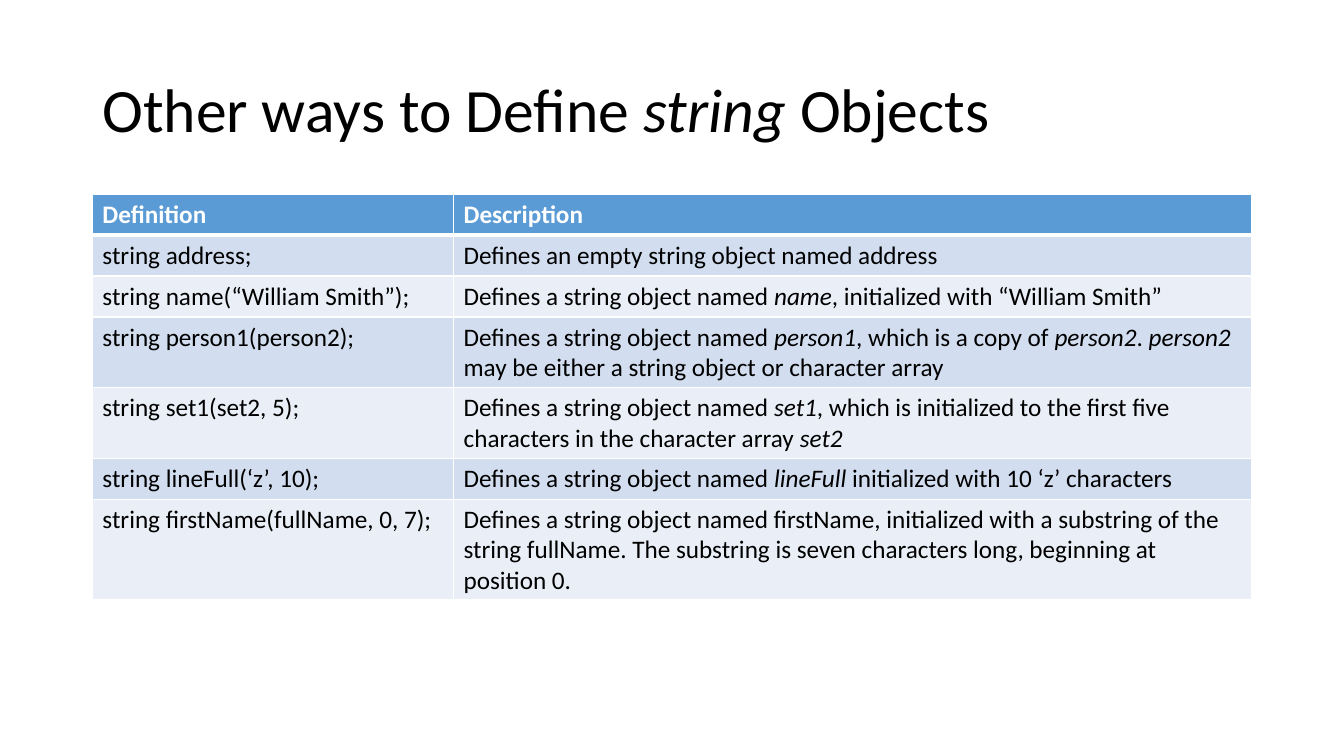
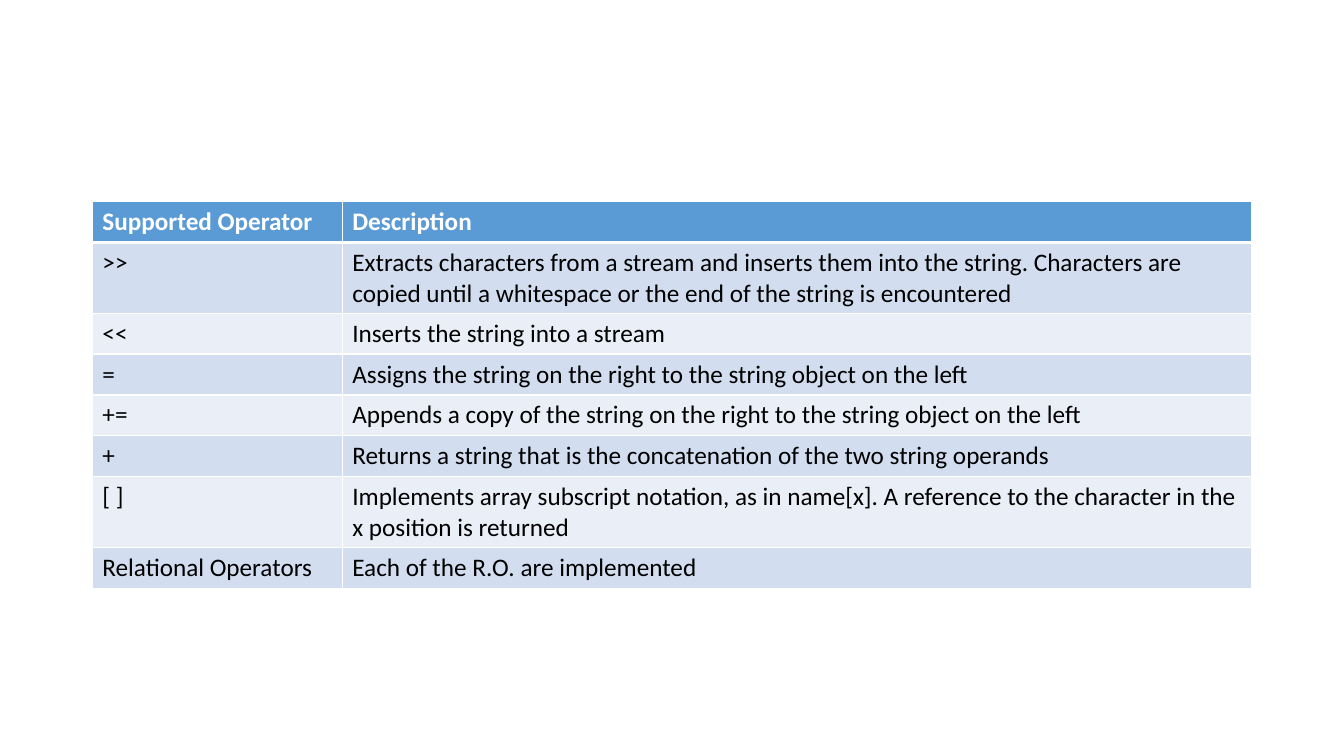
"""Two slides on defining string objects and the operators they support."""
from dataclasses import dataclass

from lxml.etree import SubElement
from pptx import Presentation
from pptx.dml.color import RGBColor as Rgb
from pptx.enum.text import MSO_ANCHOR as Anchor
from pptx.oxml.ns import qn
from pptx.util import Pt

EMU_PER_PX = 9525


def px(length):
    """Turn whole pixels into EMU."""
    return length * EMU_PER_PX


@dataclass(frozen=True)
class Theme:
    """Colours, type and line sizes shared by the slides."""
    font: str = "Calibri"
    title_size: int = 44
    body_size: int = 18
    ink: str = "000000"
    paper: str = "FFFFFF"
    header: str = "5B9BD5"
    bands: tuple = ("D2DEEF", "EAEFF7")
    rule: int = 1
    header_rule: int = 3


class Builder:
    """Holds the theme, the deck and the current page."""

    LEFT, WIDTH, ROW = 88, 1104, 39

    def __init__(self, theme):
        self.theme = theme
        self.deck = Presentation()
        self.deck.slide_width, self.deck.slide_height = px(1280), px(720)
        self.page = None

    def new_page(self):
        """Start a blank page."""
        self.page = self.deck.slides.add_slide(self.deck.slide_layouts[6])

    def add_spans(self, para, text, size, color, bold=False):
        """Add runs to a paragraph; parts between asterisks are italic."""
        for index, part in enumerate(text.split("*")):
            if part:
                span = para.add_run()
                span.text = part
                font = span.font
                font.name, font.size = self.theme.font, Pt(size)
                font.bold, font.italic = bold, index % 2 == 1
                font.color.rgb = Rgb.from_string(color)

    def title(self, text):
        """Add the page title."""
        box = self.page.shapes.add_textbox(px(self.LEFT), px(38), px(self.WIDTH), px(139))
        frame = box.text_frame
        frame.word_wrap = True
        frame.vertical_anchor = Anchor.MIDDLE
        para = frame.paragraphs[0]
        para.line_spacing = 0.9
        self.add_spans(para, text, self.theme.title_size, self.theme.ink)

    def border(self, cell, side, points):
        """Draw one side of a cell."""
        line = SubElement(cell._tc.get_or_add_tcPr(), qn(f"a:ln{side}"), w=str(Pt(points)))
        fill = SubElement(line, qn("a:solidFill"))
        SubElement(fill, qn("a:srgbClr"), val=self.theme.paper)

    def cell(self, cell, text, row):
        """Style and fill one cell according to its row."""
        theme = self.theme
        is_header = row == 0
        top = theme.header_rule if row == 1 else theme.rule
        bottom = theme.header_rule if is_header else theme.rule
        for side, points in zip("LRTB", (theme.rule, theme.rule, top, bottom)):
            self.border(cell, side, points)
        cell.fill.solid()
        color = theme.header if is_header else theme.bands[(row - 1) % 2]
        cell.fill.fore_color.rgb = Rgb.from_string(color)
        ink = theme.paper if is_header else theme.ink
        self.add_spans(cell.text_frame.paragraphs[0], text, theme.body_size, ink, is_header)

    def table(self, top, first_width, rows):
        """Add a two-column banded table."""
        table = self.page.shapes.add_table(
            len(rows), 2, px(self.LEFT), px(top), px(self.WIDTH), px(self.ROW * len(rows))
        ).table
        for column, width in zip(table.columns, (first_width, self.WIDTH - first_width)):
            column.width = px(width)
        for row, texts in enumerate(rows):
            for column, text in enumerate(texts):
                self.cell(table.cell(row, column), text, row)


DEFINITIONS = [
    ("Definition", "Description"),
    ("string address;", "Defines an empty string object named address"),
    ("string name(“William Smith”);",
     "Defines a string object named *name*, initialized with “William Smith”"),
    ("string person1(person2);",
     "Defines a string object named *person1*, which is a copy of *person2*. *person2* "
     "may be either a string object or character array"),
    ("string set1(set2, 5);",
     "Defines a string object named *set1*, which is initialized to the first five "
     "characters in the character array *set2*"),
    ("string lineFull(‘z’, 10);",
     "Defines a string object named *lineFull* initialized with 10 ‘z’ characters"),
    ("string firstName(fullName, 0, 7);",
     "Defines a string object named firstName, initialized with a substring of the "
     "string fullName. The substring is seven characters long, beginning at position 0."),
]

OPERATORS = [
    ("Supported Operator", "Description"),
    (">>", "Extracts characters from a stream and inserts them into the string. "
     "Characters are copied until a whitespace or the end of the string is encountered"),
    ("<<", "Inserts the string into a stream"),
    ("=", "Assigns the string on the right to the string object on the left"),
    ("+=", "Appends a copy of the string on the right to the string object on the left"),
    ("+", "Returns a string that is the concatenation of the two string operands"),
    ("[ ]", "Implements array subscript notation, as in name[x]. A reference to the "
     "character in the x position is returned"),
    ("Relational Operators", "Each of the R.O. are implemented"),
]


def main():
    """Build and save the deck."""
    builder = Builder(Theme())
    builder.new_page()
    builder.title("Other ways to Define *string* Objects")
    builder.table(185, 344, DEFINITIONS)
    builder.new_page()
    builder.table(192, 238, OPERATORS)
    builder.deck.save("out.pptx")


if __name__ == "__main__":
    main()
